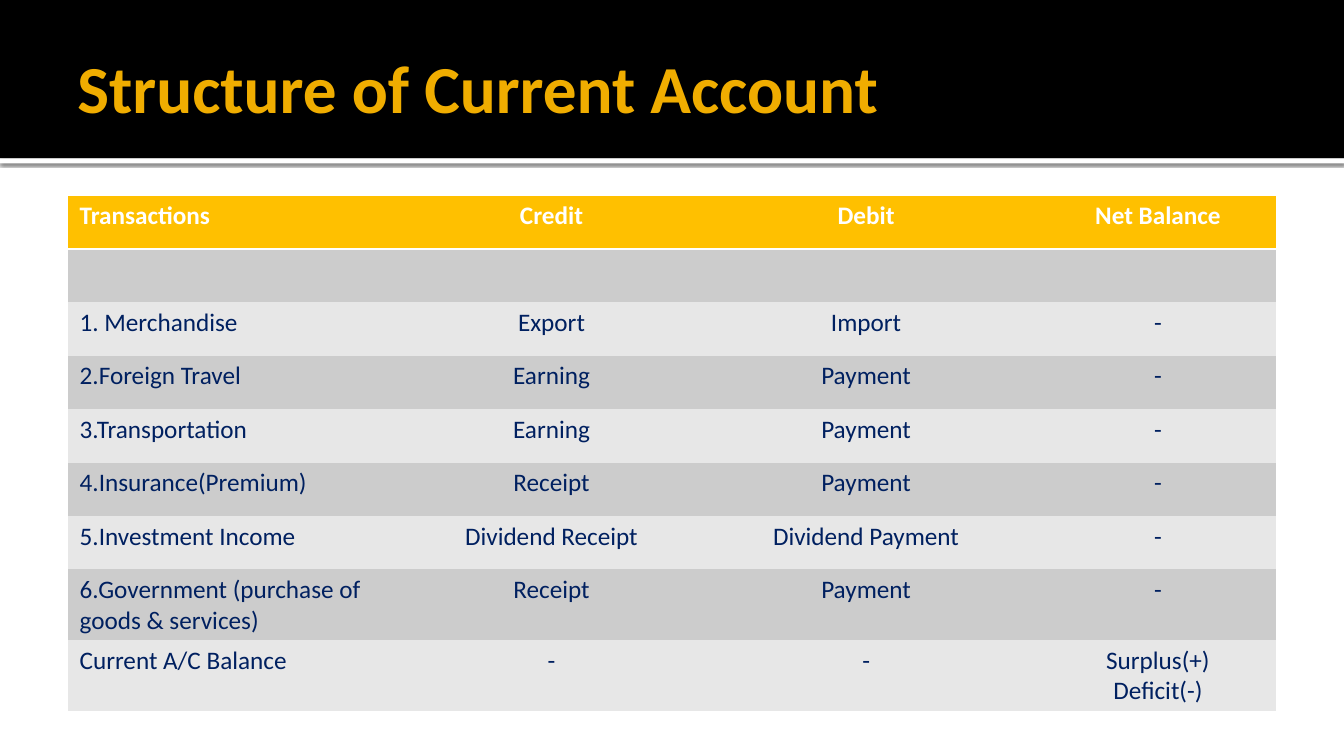
"""Build the slide on the structure of the current account."""
from lxml import etree
from pptx import Presentation
from pptx.dml.color import RGBColor
from pptx.enum.shapes import MSO_SHAPE
from pptx.enum.text import MSO_ANCHOR, PP_ALIGN
from pptx.oxml import parse_xml
from pptx.oxml.ns import nsdecls, qn
from pptx.util import Inches, Pt

RECTANGLE = MSO_SHAPE.RECTANGLE
MIDDLE = MSO_ANCHOR.MIDDLE
LEFT, CENTER = PP_ALIGN.LEFT, PP_ALIGN.CENTER

FONT = "Calibri"
WHITE, BLACK, GOLD, AMBER, NAVY = "FFFFFF", "000000", "F0AD00", "FFC000", "002060"
BANDS = ("CCCCCC", "E7E7E7")
PLAIN_TABLE_STYLE = "{2D5ABB26-0587-4C30-8999-92F81FD0307C}"

TITLE_FORMAT = {"name": FONT, "size": Pt(48), "bold": True}
HEADER_FORMAT = {"name": FONT, "size": Pt(18), "bold": True}
BODY_FORMAT = {"name": FONT, "size": Pt(18), "bold": False}
TITLE_FRAME = {
    "word_wrap": True, "vertical_anchor": MIDDLE,
    "margin_left": Inches(0.1), "margin_top": Inches(0.05),
    "margin_right": Inches(0.05), "margin_bottom": Inches(0.05),
}
CELL_MARGINS = {
    "margin_left": Inches(0.12), "margin_top": Inches(0.05),
    "margin_right": Inches(0.12), "margin_bottom": Inches(0.05),
}

COLUMN_WIDTHS = (3.4, 2.8, 3.44, 2.35)
ROW_HEIGHT = 0.53
ROWS = (
    ("Transactions", "Credit", "Debit", "Net Balance"),
    ("", "", "", ""),
    ("1. Merchandise", "Export", "Import", "-"),
    ("2.Foreign Travel", "Earning", "Payment", "-"),
    ("3.Transportation", "Earning", "Payment", "-"),
    ("4.Insurance(Premium)", "Receipt", "Payment", "-"),
    ("5.Investment Income", "Dividend Receipt", "Dividend Payment", "-"),
    ("6.Government (purchase of goods & services)", "Receipt", "Payment", "-"),
    ("Current A/C Balance", "-", "-", "Surplus(+)\nDeficit(-)"),
)


def color(value):
    """Return the colour for a hex string."""
    return RGBColor.from_string(value)


def apply_format(target, values):
    """Set each attribute of the target from a dict."""
    for name, value in values.items():
        setattr(target, name, value)


def write_text(text_frame, text, values, text_color, alignment=LEFT):
    """Fill a text frame and format its paragraphs."""
    text_frame.text = text
    for paragraph in text_frame.paragraphs:
        paragraph.alignment = alignment
        apply_format(paragraph.font, values)
        paragraph.font.color.rgb = color(text_color)


def add_band(slide, top, height, fill):
    """Add a plain band across the slide."""
    shape = slide.shapes.add_shape(
        RECTANGLE, Inches(0), Inches(top), Inches(13.33), Inches(height))
    shape.shadow.inherit = False
    shape.fill.solid()
    shape.fill.fore_color.rgb = color(fill)
    shape.line.fill.background()
    return shape


def add_shadow(shape):
    """Give a shape a soft shadow falling downwards."""
    effects = shape.element.spPr.find(qn("a:effectLst"))
    shadow = etree.SubElement(
        effects, qn("a:outerShdw"), blurRad=str(Pt(2.5)), dist=str(Pt(0.8)),
        dir="5400000", algn="tl", rotWithShape="0")
    black = etree.SubElement(shadow, qn("a:srgbClr"), val=BLACK)
    etree.SubElement(black, qn("a:alpha"), val="60000")


def add_title(slide, text):
    """Add the slide title."""
    shape = slide.shapes.add_textbox(
        Inches(0.67), Inches(0.17), Inches(12), Inches(1.37))
    apply_format(shape.text_frame, TITLE_FRAME)
    write_text(shape.text_frame, text, TITLE_FORMAT, GOLD)


def add_bottom_border(cell):
    """Draw a white line under a cell."""
    border = parse_xml(
        f'<a:lnB {nsdecls("a")} w="{Pt(2)}"><a:solidFill>'
        f'<a:srgbClr val="{WHITE}"/></a:solidFill></a:lnB>')
    cell._tc.get_or_add_tcPr().insert(0, border)


def fill_cell(cell, text, row_index, column_index):
    """Write and format one table cell."""
    is_header = row_index == 0
    apply_format(cell, CELL_MARGINS)
    cell.fill.solid()
    cell.fill.fore_color.rgb = color(AMBER if is_header else BANDS[(row_index - 1) % 2])
    write_text(cell.text_frame, text,
               HEADER_FORMAT if is_header else BODY_FORMAT,
               WHITE if is_header else NAVY,
               CENTER if column_index else LEFT)
    if is_header:
        add_bottom_border(cell)


def add_account_table(slide):
    """Add the table of transactions."""
    frame = slide.shapes.add_table(
        len(ROWS), len(COLUMN_WIDTHS), Inches(0.67), Inches(1.94),
        Inches(sum(COLUMN_WIDTHS)), Inches(ROW_HEIGHT * len(ROWS)))
    table = frame.table
    next(frame.element.iter(qn("a:tableStyleId"))).text = PLAIN_TABLE_STYLE
    for column, width in zip(table.columns, COLUMN_WIDTHS):
        column.width = Inches(width)
    for row_index, texts in enumerate(ROWS):
        table.rows[row_index].height = Inches(ROW_HEIGHT)
        for column_index, text in enumerate(texts):
            fill_cell(table.cell(row_index, column_index), text, row_index, column_index)


def main():
    """Build and save the presentation."""
    presentation = Presentation()
    presentation.slide_width = Inches(13.33)
    presentation.slide_height = Inches(7.5)
    slide = presentation.slides.add_slide(presentation.slide_layouts[6])
    add_shadow(add_band(slide, 1.57, 0.05, WHITE))
    add_band(slide, 0, 1.57, BLACK)
    add_title(slide, "Structure of Current Account")
    add_account_table(slide)
    presentation.save("out.pptx")


if __name__ == "__main__":
    main()
